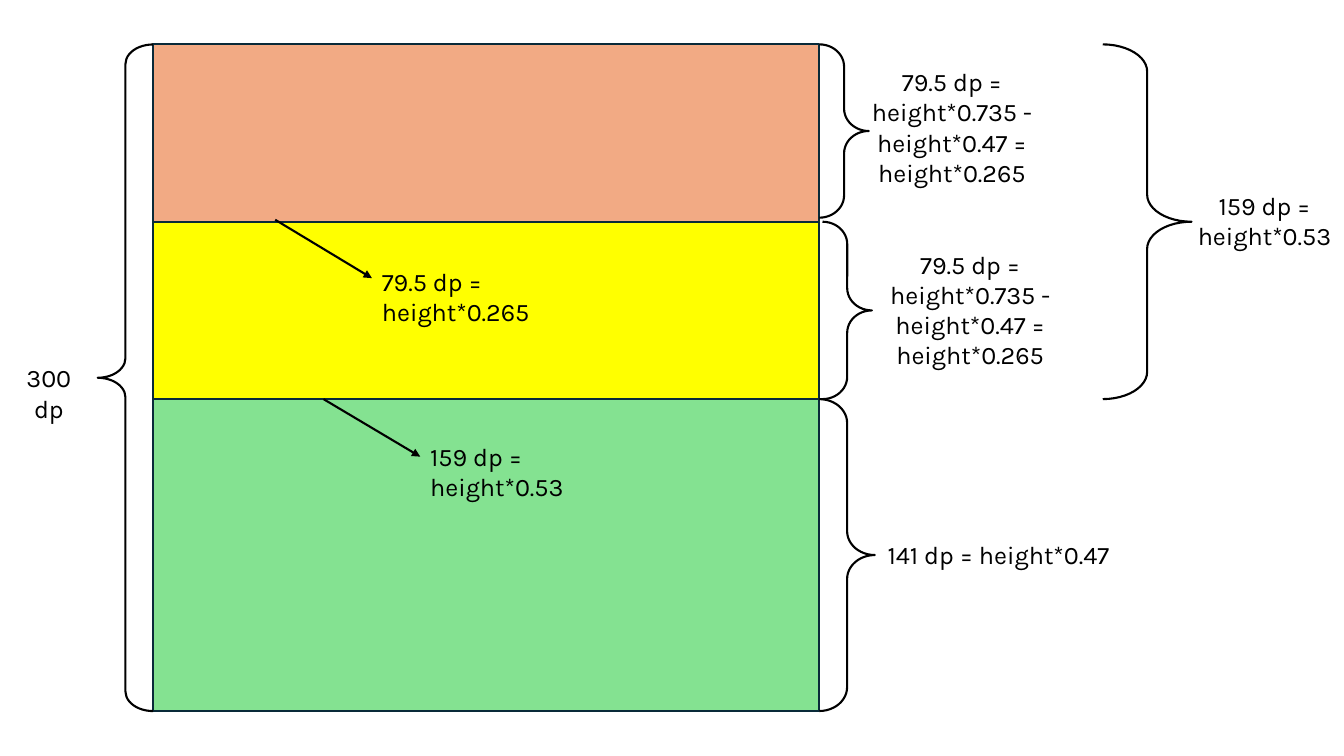
"""Build a slide that splits a 300 dp height into three coloured bands."""
from lxml.etree import SubElement
from pptx import Presentation
from pptx.dml.color import RGBColor
from pptx.enum.shapes import MSO_CONNECTOR as Connector, MSO_SHAPE as Shape
from pptx.enum.text import MSO_ANCHOR as Anchor, PP_ALIGN as Align
from pptx.oxml.ns import qn
from pptx.util import Pt

BLACK = RGBColor(0x00, 0x00, 0x00)
OUTLINE = RGBColor(0x09, 0x2A, 0x39)
ORANGE = RGBColor(0xF2, 0xAA, 0x84)
GREEN = RGBColor(0x84, 0xE2, 0x91)
YELLOW = RGBColor(0xFF, 0xFF, 0x00)

LEFT, WIDTH = 109.4, 475.9
RIGHT = LEFT + WIDTH
TOP, YELLOW_TOP, GREEN_TOP, BOTTOM = 31.7, 158.4, 285.1, 507.9

deck = Presentation()
deck.slide_width, deck.slide_height = Pt(960), Pt(540)
page = deck.slides.add_slide(deck.slide_layouts[6])

bands = [
    (TOP, BOTTOM, ORANGE),
    (GREEN_TOP, BOTTOM, GREEN),
    (YELLOW_TOP, GREEN_TOP, YELLOW),
]
for top, bottom, color in bands:
    band = page.shapes.add_shape(
        Shape.RECTANGLE, Pt(LEFT), Pt(top), Pt(WIDTH), Pt(bottom - top))
    band.shadow.inherit = False
    band.fill.solid()
    band.fill.fore_color.rgb = color
    band.line.color.rgb = OUTLINE
    band.line.width = Pt(1.5)

braces = [
    (69.8, TOP, BOTTOM, 39.6, 0.353, 180),
    (RIGHT, GREEN_TOP, BOTTOM, 39.6, 0.431, 0),
    (787.7, TOP, GREEN_TOP, 63.4, 0.306, 0),
    (587.5, YELLOW_TOP, GREEN_TOP, 35.3, 0.452, 0),
    (RIGHT, TOP, 155.5, 35.3, 0.452, 0),
]
for left, top, bottom, width, curve, rotation in braces:
    brace = page.shapes.add_shape(
        Shape.RIGHT_BRACE, Pt(left), Pt(top), Pt(width), Pt(bottom - top))
    brace.shadow.inherit = False
    brace.adjustments[0] = curve
    brace.rotation = rotation
    brace.fill.background()
    brace.line.color.rgb = BLACK
    brace.line.width = Pt(1.5)

arrows = [
    (231.1, GREEN_TOP, 300.2, 326.2),
    (196.6, 157, 265.7, 198.7),
]
for start_x, start_y, end_x, end_y in arrows:
    arrow = page.shapes.add_connector(
        Connector.STRAIGHT, Pt(start_x), Pt(start_y), Pt(end_x), Pt(end_y))
    arrow.line.color.rgb = BLACK
    arrow.line.width = Pt(1.5)
    SubElement(arrow.line._get_or_add_ln(), qn("a:tailEnd"), type="triangle")
    SubElement(arrow._element.spPr, qn("a:effectLst"))

BAND_HEIGHT = "79.5 dp = height*0.735 - height*0.47 = height*0.265"
labels = [
    ("300 dp", 0, 255.6, 69.8, 28.8, Align.CENTER),
    ("141 dp = height*0.47", 625, 381.6, 176.4, 28.8, Align.CENTER),
    ("159 dp = height*0.53", 846, 132.5, 114.5, 51.1, Align.CENTER),
    (BAND_HEIGHT, 604.8, 174.2, 176.4, 94.3, Align.CENTER),
    (BAND_HEIGHT, 591.8, 43.9, 176.4, 94.3, Align.CENTER),
    ("159 dp = height*0.53", 300.2, 311.8, 175.7, 28.8, Align.LEFT),
    ("79.5 dp = height*0.265", 265.7, 186.5, 193, 28.8, Align.LEFT),
]
for text, left, top, width, height, alignment in labels:
    box = page.shapes.add_textbox(Pt(left), Pt(top), Pt(width), Pt(height))
    box.text_frame.word_wrap = True
    box.text_frame.vertical_anchor = Anchor.TOP
    para = box.text_frame.paragraphs[0]
    para.alignment = alignment
    span = para.add_run()
    span.text = text
    span.font.name = "Karla"
    span.font.size = Pt(18)
    span.font.color.rgb = BLACK

deck.save("out.pptx")
